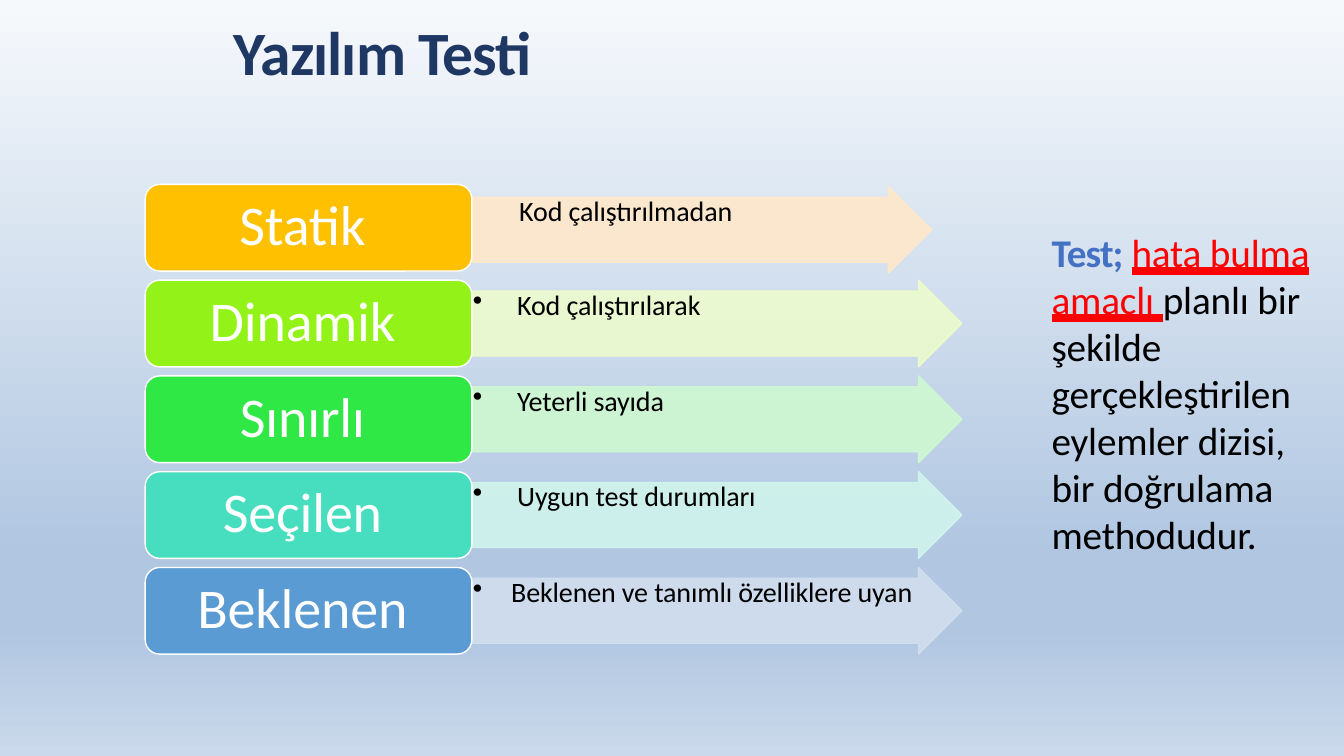
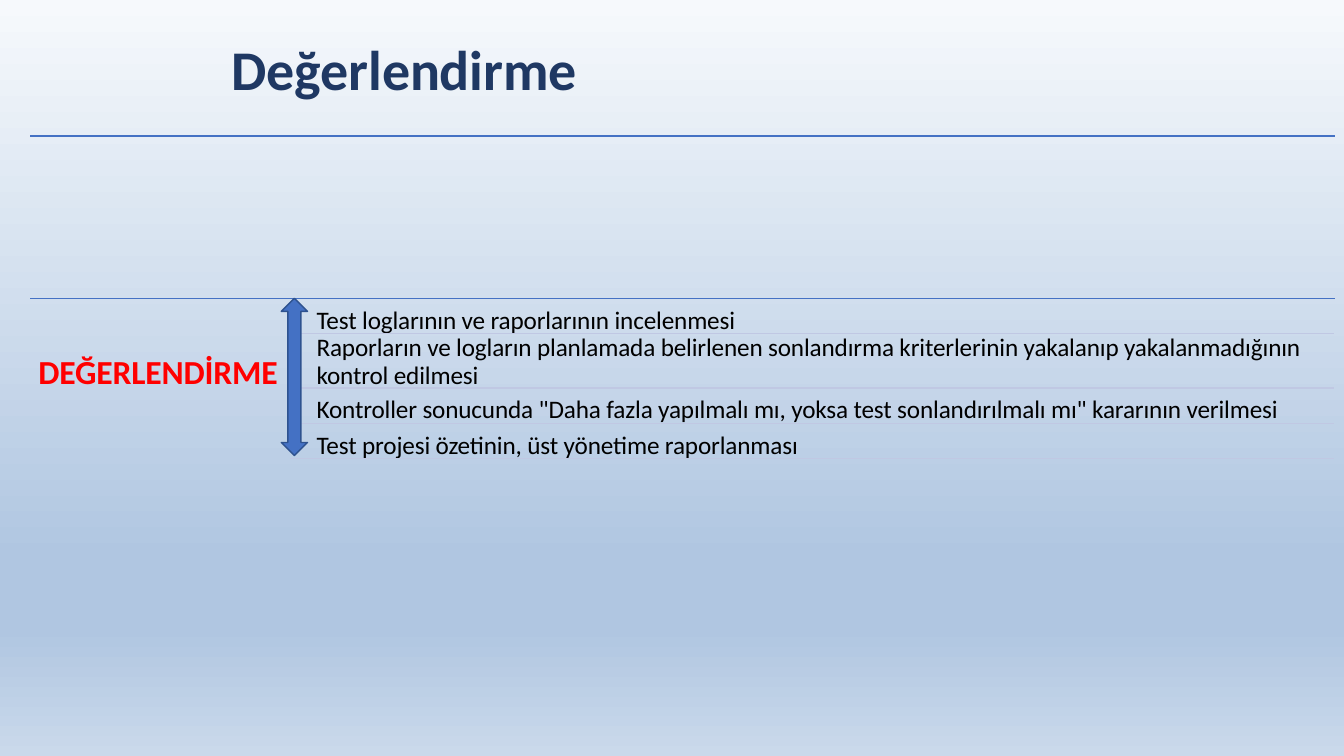
from lxml import etree
from pptx import Presentation
from pptx.dml.color import RGBColor
from pptx.enum import shapes, text
from pptx.oxml import ns
from pptx.util import Inches, Pt

FONT = "Calibri"
COLORS = {
    "title": "1F3863", "blue": "4471C4", "blue_edge": "2E528F", "red": "FF0000",
    "black": "000000", "white": "FFFFFF", "separator": "C0C8E3",
}
BACKGROUND = [(0, "F6F9FC"), (74, "B0C6E1"), (83, "B0C6E1"), (100, "CAD9EB")]

# label, box colour, arrow colour, description, text indent, bullet
TEST_TRAITS = [
    ("Statik", "FFC000", "FFE8CA", "Kod çalıştırılmadan", 0.77, False),
    ("Dinamik", "93F318", "ECFBCD", "Kod çalıştırılarak", 0.45, True),
    ("Sınırlı", "2FE845", "CEF8D1", "Yeterli sayıda", 0.45, True),
    ("Seçilen", "46DEBE", "D0F4EC", "Uygun test durumları", 0.45, True),
    ("Beklenen", "5B9BD4", "D2DEEE", "Beklenen ve tanımlı özelliklere uyan", 0.39, True),
]
# text, colour, bold, underlined, letter spacing
DEFINITION = [
    ("Test; ", "blue", True, False, -0.6),
    ("hata bulma amaçlı ", "red", False, True, -0.1),
    ("planlı bir şekilde gerçekleştirilen eylemler dizisi, bir doğrulama methodudur.",
     "black", False, False, -0.1),
]
# text, space before in points
EVALUATION_STEPS = [
    ("Test loglarının ve raporlarının incelenmesi", 0),
    ("Raporların ve logların planlamada belirlenen sonlandırma kriterlerinin "
     "yakalanıp yakalanmadığının kontrol edilmesi", 0),
    ('Kontroller sonucunda "Daha fazla yapılmalı mı, yoksa test sonlandırılmalı mı" '
     "kararının verilmesi", 4.5),
    ("Test projesi özetinin, üst yönetime raporlanması", 5.5),
]
RULES = [1.35, 2.96]
SEPARATORS = [3.31, 3.85, 4.2, 4.55]


def rgb(value):
    return RGBColor.from_string(value)


def add_run(p, content, size, color, bold=False, underline=False, spacing=-0.1):
    r = p.add_run()
    r.text = content
    f = r.font
    f.name, f.size, f.bold = FONT, Pt(size), bold
    f.color.rgb = rgb(COLORS[color])
    if underline:
        f.underline = text.MSO_UNDERLINE.HEAVY_LINE
    r._r.get_or_add_rPr().set("spc", str(round(spacing * 100)))


def set_bullet(p, indent=0, char=None):
    """Give the paragraph a hanging bullet, or none when char is missing."""
    pPr = p._p.get_or_add_pPr()
    pPr.set("marL", str(Inches(indent)))
    pPr.set("indent", str(-Inches(indent - 0.01) if char else 0))
    bullet = etree.SubElement(pPr, ns.qn("a:buChar" if char else "a:buNone"))
    if char:
        bullet.set("char", char)


def place(sp, left, top, width, height):
    sp.left, sp.top = Inches(left), Inches(top)
    sp.width, sp.height = Inches(width), Inches(height)


def set_frame(sp, right=0, bottom=0, anchor=text.MSO_ANCHOR.TOP):
    tf = sp.text_frame
    tf.word_wrap = True
    tf.auto_size = text.MSO_AUTO_SIZE.NONE
    tf.vertical_anchor = anchor
    tf.margin_left, tf.margin_top = 0, Inches(0.01)
    tf.margin_right, tf.margin_bottom = Inches(right), Inches(bottom)
    return tf


def add_text_box(s, left, top, width, height):
    box = s.shapes.add_textbox(*map(Inches, (left, top, width, height)))
    return set_frame(box).paragraphs[0]


def add_filled(s, kind, left, top, width, height, fill, line):
    sp = s.shapes.add_shape(kind, *map(Inches, (left, top, width, height)))
    sp.shadow.inherit = False
    sp.fill.solid()
    sp.fill.fore_color.rgb = rgb(fill)
    sp.line.color.rgb = rgb(line)
    sp.line.width = Pt(1)
    return sp


def add_rule(s, left, right, y, color):
    line = s.shapes.add_connector(
        shapes.MSO_CONNECTOR.STRAIGHT, *map(Inches, (left, y, right, y)))
    line.line.color.rgb = rgb(COLORS[color])
    line.line.width = Pt(1)
    etree.SubElement(line._element.spPr, ns.qn("a:effectLst"))


def set_background(master):
    fill = master.background.fill
    fill.gradient()
    fill.gradient_angle = 270
    stops = master.element.find(".//" + ns.qn("p:bg")).find(".//" + ns.qn("a:gsLst"))
    for stop in list(stops):
        stops.remove(stop)
    for percent, color in BACKGROUND:
        stop = etree.SubElement(stops, ns.qn("a:gs"), pos=str(percent * 1000))
        etree.SubElement(stop, ns.qn("a:srgbClr"), val=color)


def add_slide(prs, title, left, top, size, spacing):
    s = prs.slides.add_slide(prs.slide_layouts[1])
    place(s.shapes.title, left, top, 6, 0.76)
    p = set_frame(s.shapes.title).paragraphs[0]
    p.alignment = text.PP_ALIGN.LEFT
    add_run(p, title, size, "title", bold=True, spacing=spacing)
    return s


def add_trait(s, index, label, box_color, arrow_color, description, indent, bulleted):
    top, height = 1.83 + 0.95 * index, 0.86
    arrow_left, arrow_top = (4.68, top) if bulleted else (4.38, top + 0.02)
    arrow = add_filled(s, shapes.MSO_SHAPE.RIGHT_ARROW, arrow_left, arrow_top,
                       4.86, height, arrow_color, arrow_color)
    arrow.adjustments[0], arrow.adjustments[1] = 0.75, 0.5
    color = arrow._element.spPr.find(ns.qn("a:solidFill"))[0]
    etree.SubElement(color, ns.qn("a:alpha"), val="90000")

    p = add_text_box(s, arrow_left, arrow_top + 0.06, 4.6, 0.36)
    set_bullet(p, indent, "•" if bulleted else None)
    add_run(p, description, 20, "black")

    box = add_filled(s, shapes.MSO_SHAPE.ROUNDED_RECTANGLE, 1.44, top,
                     3.24, height, box_color, COLORS["white"])
    p = set_frame(box, 0.12, 0.1, text.MSO_ANCHOR.MIDDLE).paragraphs[0]
    p.alignment = text.PP_ALIGN.CENTER
    add_run(p, label, 40, "white")


def build_testing(prs):
    s = add_slide(prs, "Yazılım Testi", 2.32, 0.13, 44, -0.7)
    for i, trait in enumerate(TEST_TRAITS):
        add_trait(s, i, *trait)
    body = s.placeholders[1]
    place(body, 10.43, 2.25, 2.65, 3.3)
    p = set_frame(body).paragraphs[0]
    set_bullet(p)
    p.space_before = Pt(0)
    for content, color, bold, underline, spacing in DEFINITION:
        add_run(p, content, 28, color, bold, underline, spacing)


def build_evaluation(prs):
    s = add_slide(prs, "Değerlendirme", 2.3, 0.33, 40, -0.1)
    for y in RULES:
        add_rule(s, 0.3, 13.24, y, "blue")
    for y in SEPARATORS:
        add_rule(s, 2.88, 13.23, y, "separator")
    add_filled(s, shapes.MSO_SHAPE.UP_DOWN_ARROW, 2.79, 2.96, 0.26, 1.56,
               COLORS["blue"], COLORS["blue_edge"])
    p = add_text_box(s, 0.38, 3.47, 2.5, 0.43)
    add_run(p, "DEĞERLENDİRME", 24, "red", bold=True)

    body = s.placeholders[1]
    place(body, 3.14, 3.03, 9.95, 1.53)
    tf = set_frame(body)
    for i, (step, before) in enumerate(EVALUATION_STEPS):
        p = tf.add_paragraph() if i else tf.paragraphs[0]
        set_bullet(p)
        p.line_spacing = Pt(19.8)
        p.space_before = Pt(before)
        add_run(p, step, 18, "black")


def main():
    prs = Presentation()
    prs.slide_width, prs.slide_height = Inches(13.33), Inches(7.5)
    set_background(prs.slide_master)
    build_testing(prs)
    build_evaluation(prs)
    prs.save("out.pptx")


if __name__ == "__main__":
    main()
